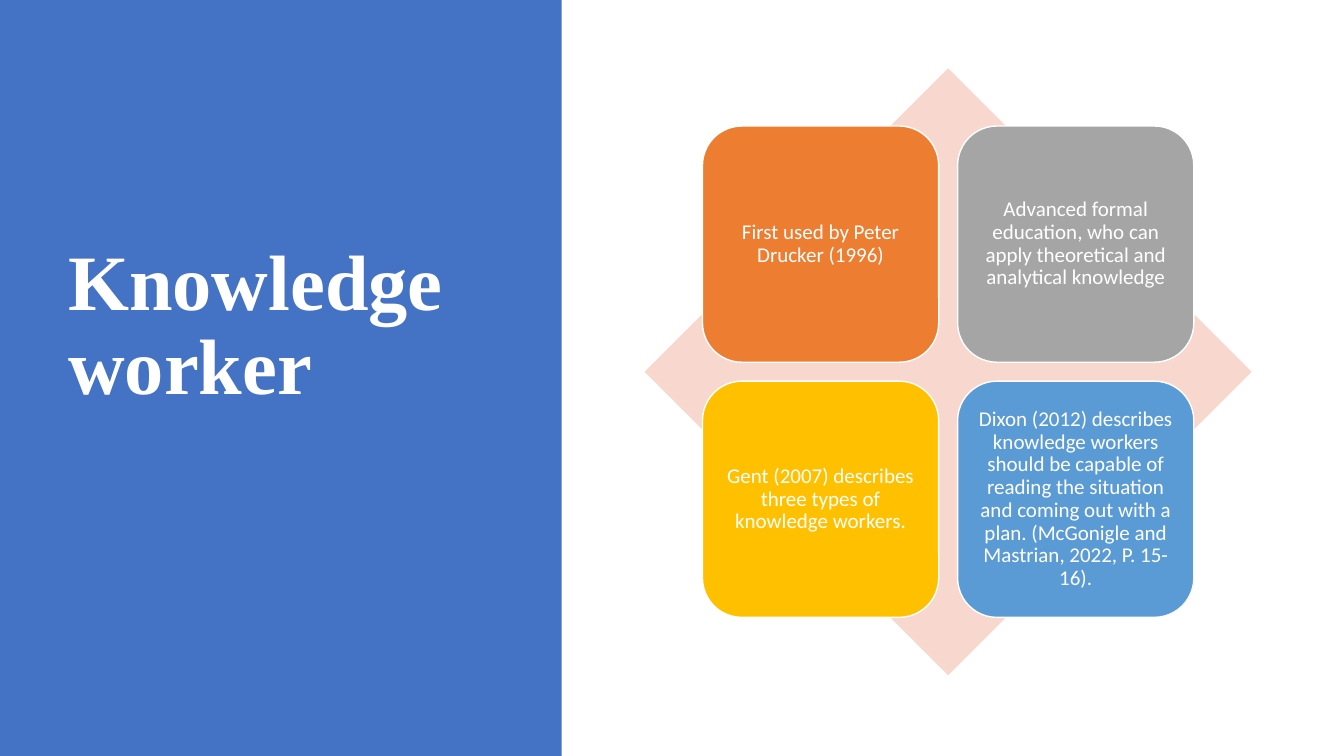
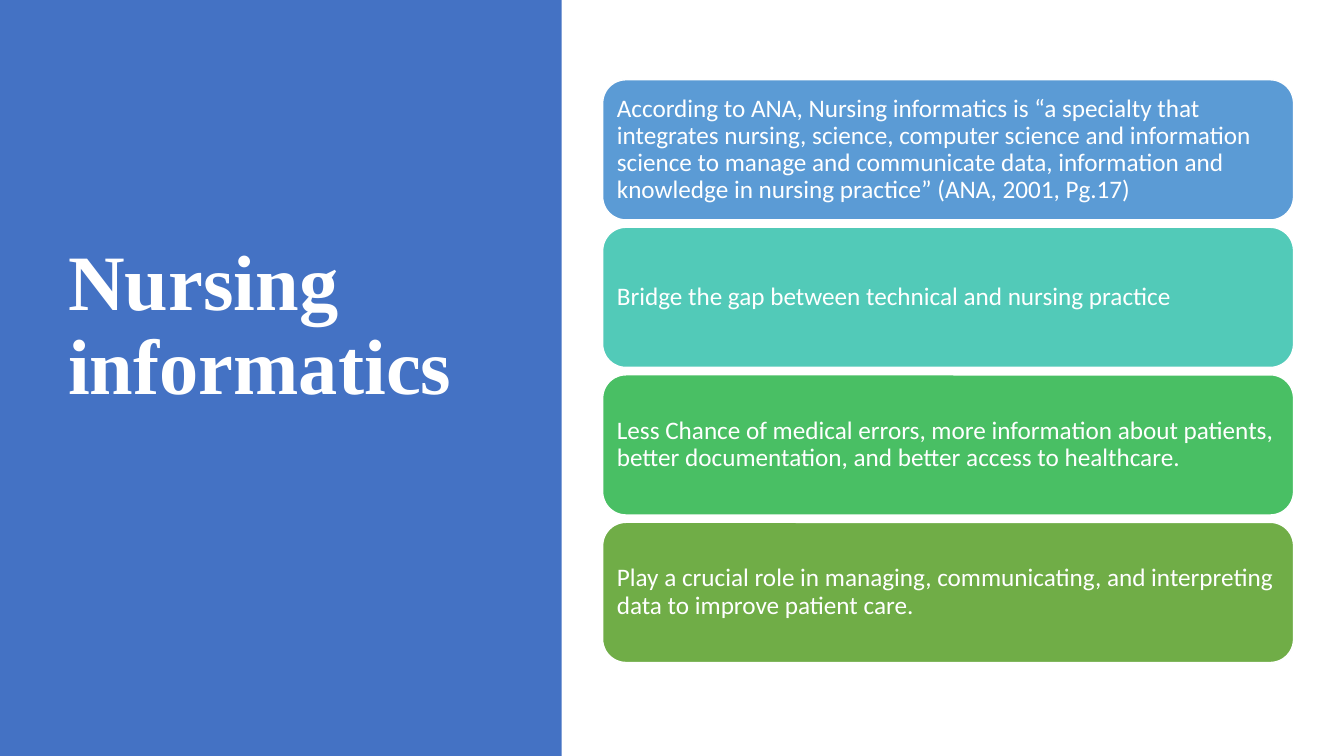
"""Build two slides on knowledge workers and nursing informatics."""
from dataclasses import dataclass

from pptx import Presentation, util as u
from pptx.dml.color import RGBColor
from pptx.enum import shapes, text

PX = 9525
WIDE, HIGH = 1280, 720


@dataclass(frozen=True)
class Theme:
    panel: str = "4472C4"
    pale: str = "F8D7CE"
    white: str = "FFFFFF"
    head: str = "Times New Roman"
    body: str = "Calibri"
    title: int = 56
    tile: int = 15
    bar: int = 18


T = Theme()

TILES = [
    ("ED7D31", "First used by Peter Drucker (1996)"),
    ("A5A5A5", "Advanced formal education, who can apply theoretical and "
               "analytical knowledge"),
    ("FFC000", "Gent (2007) describes three types of knowledge workers."),
    ("5B9BD5", "Dixon (2012) describes knowledge workers should be capable of "
               "reading the situation and coming out with a plan. (McGonigle "
               "and Mastrian, 2022, P. 15-16)."),
]
BARS = [
    ("5B9BD5", "According to ANA, Nursing informatics is “a specialty that "
               "integrates nursing, science, computer science and information "
               "science to manage and communicate data, information and "
               "knowledge in nursing practice” (ANA, 2001, Pg.17)"),
    ("52CAB8", "Bridge the gap between technical and nursing practice"),
    ("49BF64", "Less Chance of medical errors, more information about "
               "patients, better documentation, and better access to "
               "healthcare."),
    ("70AD47", "Play a crucial role in managing, communicating, and "
               "interpreting data to improve patient care."),
]


def px(n):
    return u.Emu(round(n * PX))


def shape(slide, kind, box, fill, edge=None):
    form = slide.shapes.add_shape(kind, *map(px, box))
    form.shadow.inherit = False
    form.fill.solid()
    form.fill.fore_color.rgb = RGBColor.from_string(fill)
    if edge:
        form.line.color.rgb = RGBColor.from_string(edge)
        form.line.width = u.Pt(1)
    else:
        form.line.fill.background()
    return form


def write(form, words, size, face, align, pads, bold=False):
    frame = form.text_frame
    frame.word_wrap = True
    frame.auto_size = text.MSO_AUTO_SIZE.NONE
    frame.vertical_anchor = text.MSO_ANCHOR.MIDDLE
    (frame.margin_left, frame.margin_top,
     frame.margin_right, frame.margin_bottom) = map(px, pads)
    para = frame.paragraphs[0]
    para.alignment = align
    para.line_spacing = 0.9
    run = para.add_run()
    run.text = words
    run.font.size = u.Pt(size)
    run.font.name = face
    run.font.bold = bold
    run.font.color.rgb = RGBColor.from_string(T.white)


def start(deck, words):
    slide = deck.slides.add_slide(deck.slide_layouts[5])
    panel = shape(slide, shapes.MSO_SHAPE.RECTANGLE, (0, 0, 535, HIGH), T.panel)
    slide.shapes.element.insert(2, panel.element)
    title = slide.shapes.title
    title.left, title.top, title.width, title.height = map(px, (55, 65, 399, 578))
    write(title, words, T.title, T.head, text.PP_ALIGN.LEFT, (10, 5, 10, 90), True)
    return slide


def card(slide, box, fill, words, size, align, pad):
    form = shape(slide, shapes.MSO_SHAPE.ROUNDED_RECTANGLE, box, fill, T.white)
    write(form, words, size, T.body, align, [pad] * 4)


def matrix(slide):
    left, top, side, gap = 669, 120, 225, 18
    shape(slide, shapes.MSO_SHAPE.DIAMOND, (614, 65, 578, 578), T.pale)
    for i, (fill, words) in enumerate(TILES):
        row, col = divmod(i, 2)
        box = (left + col * (side + gap), top + row * (side + gap), side, side)
        card(slide, box, fill, words, T.tile, text.PP_ALIGN.CENTER, 6)


def stack(slide):
    left, top, wide, span, gap = 574, 76, 658, 555, 7
    tall = (span + gap) / len(BARS) - gap
    for i, (fill, words) in enumerate(BARS):
        box = (left, top + i * (tall + gap), wide, tall)
        card(slide, box, fill, words, T.bar, text.PP_ALIGN.LEFT, 7)


def main():
    deck = Presentation()
    deck.slide_width, deck.slide_height = px(WIDE), px(HIGH)
    matrix(start(deck, "Knowledge worker"))
    stack(start(deck, "Nursing informatics"))
    deck.save("out.pptx")


if __name__ == "__main__":
    main()
